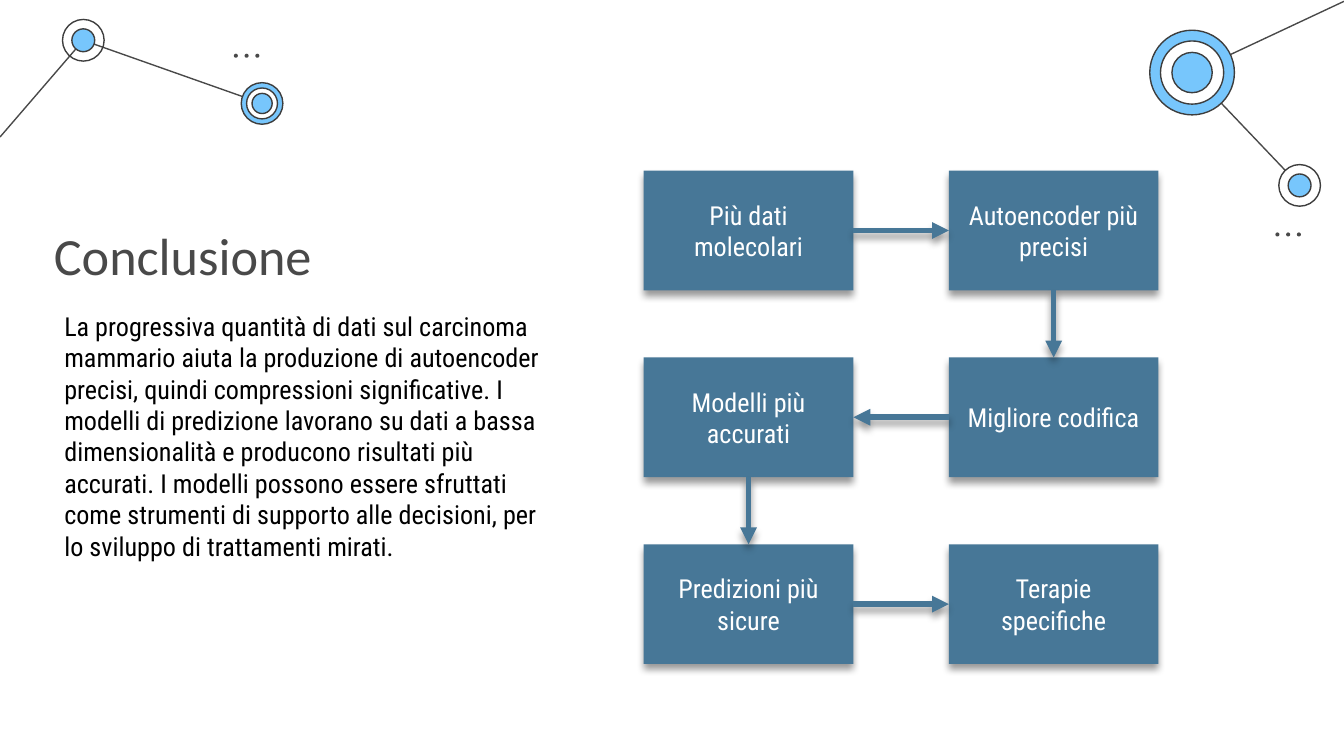
from lxml import etree
from pptx import Presentation
from pptx.dml.color import RGBColor
from pptx.enum.shapes import MSO_CONNECTOR, MSO_SHAPE
from pptx.enum.text import MSO_ANCHOR, PP_ALIGN
from pptx.oxml.ns import qn
from pptx.util import Inches, Pt

STRAIGHT = MSO_CONNECTOR.STRAIGHT
RECTANGLE, OVAL = MSO_SHAPE.RECTANGLE, MSO_SHAPE.OVAL
TOP, MIDDLE = MSO_ANCHOR.TOP, MSO_ANCHOR.MIDDLE
LEFT_ALIGN, CENTER = PP_ALIGN.LEFT, PP_ALIGN.CENTER
TITLE_ONLY = 5
SITE_TOP, SITE_LEFT, SITE_BOTTOM, SITE_RIGHT = range(4)

PAGE_WIDTH = 10
PAGE_HEIGHT = PAGE_WIDTH * 9 / 16

GREY, OUTLINE, SKY, STEEL = "494949", "3D3D3D", "77C6FC", "477797"
WHITE, BLACK = "FFFFFF", "000000"
BODY_FONT = "Roboto Condensed"

BODY = (
    "La progressiva quantità di dati sul carcinoma mammario aiuta la produzione "
    "di autoencoder precisi, quindi compressioni significative. I modelli di "
    "predizione lavorano su dati a bassa dimensionalità e producono risultati più "
    "accurati. I modelli possono essere sfruttati come strumenti di supporto alle "
    "decisioni, per lo sviluppo di trattamenti mirati."
)
# Each step: label, column, row, in reading order of the winding flow
STEPS = [
    ("Più dati molecolari", 0, 0),
    ("Autoencoder più precisi", 1, 0),
    ("Migliore codifica", 1, 1),
    ("Modelli più accurati", 0, 1),
    ("Predizioni più sicure", 0, 2),
    ("Terapie specifiche", 1, 2),
]
# Direction of travel (columns, rows) to the sites an arrow leaves and enters
SITES = {
    (1, 0): (SITE_RIGHT, SITE_LEFT),
    (-1, 0): (SITE_LEFT, SITE_RIGHT),
    (0, 1): (SITE_BOTTOM, SITE_TOP),
}


def color(value):
    return RGBColor.from_string(value)


def set_text(shape, text, font, frame_format, align):
    frame = shape.text_frame
    frame.word_wrap = True
    for name, value in frame_format.items():
        setattr(frame, name, value)
    para = frame.paragraphs[0]
    para.alignment = align
    span = para.add_run()
    span.text = text
    for name, value in font.items():
        if name == "color":
            span.font.color.rgb = color(value)
        else:
            setattr(span.font, name, value)


def set_effects(shape, shadow=False):
    """Replace the theme shadow by none, or by a soft one straight below."""
    properties = shape._element.spPr
    effects = etree.SubElement(properties, qn("a:effectLst"))
    if shadow:
        outer = etree.SubElement(
            effects, qn("a:outerShdw"), blurRad=str(Pt(4)), dist=str(Pt(3)),
            dir="5400000", rotWithShape="0")
        tint = etree.SubElement(outer, qn("a:srgbClr"), val=BLACK)
        etree.SubElement(tint, qn("a:alpha"), val="40000")


def add_line(shapes, start, end, line_color=GREY, width=0.75, shadow=False):
    line = shapes.add_connector(STRAIGHT, *(Inches(v) for v in (*start, *end)))
    line.line.color.rgb = color(line_color)
    line.line.width = Pt(width)
    set_effects(line, shadow)
    return line


def add_preset(shapes, kind, box, fill=None, outline=None, shadow=False):
    shape = shapes.add_shape(kind, *(Inches(v) for v in box))
    if fill:
        shape.fill.solid()
        shape.fill.fore_color.rgb = color(fill)
    else:
        shape.fill.background()
    if outline:
        shape.line.color.rgb = color(outline)
        shape.line.width = Pt(0.75)
    else:
        shape.line.fill.background()
    set_effects(shape, shadow)
    return shape


def add_node(page, center, rings):
    """Concentric circles, given as (diameter, fill) from the outside in."""
    group = page.shapes.add_group_shape()
    x, y = center
    for size, fill in rings:
        box = (x - size / 2, y - size / 2, size, size)
        add_preset(group.shapes, OVAL, box, fill, OUTLINE)


def add_dots(page, left, top):
    group = page.shapes.add_group_shape()
    for index in range(3):
        add_preset(group.shapes, OVAL, (left + index * 0.08, top, 0.03, 0.03), GREY)


def add_left_network(page, left, top):
    small, target = (left + 0.62, top + 0.3), (left + 1.95, top + 0.77)
    add_line(page.shapes, small, target)
    add_line(page.shapes, (left, top + 1.02), small)
    add_node(page, small, [(0.31, None), (0.17, SKY)])
    add_node(page, target, [(0.31, SKY), (0.23, WHITE), (0.15, SKY)])
    add_dots(page, left + 1.74, top + 0.4)


def add_right_network(page, left, top):
    large, small = (left + 0.37, top + 0.54), (left + 1.17, top + 1.38)
    add_line(page.shapes, small, large)
    add_line(page.shapes, (left + 1.5, top + 0.01), large)
    add_node(page, large, [(0.63, SKY), (0.47, WHITE), (0.3, SKY)])
    add_node(page, small, [(0.31, WHITE), (0.17, SKY)])
    add_dots(page, left + 0.99, top + 1.73)


def add_message(page, left, top):
    # Title
    title = page.shapes.title
    place = {"left": left, "top": top, "width": 2.2, "height": 0.63}
    for name, value in place.items():
        setattr(title, name, Inches(value))
    margins = {f"margin_{side}": Inches(0.1)
               for side in ("left", "top", "right", "bottom")}
    set_text(title, "Conclusione",
             {"size": Pt(28), "name": "Calibri", "color": GREY},
             {"vertical_anchor": TOP, **margins}, CENTER)
    # Paragraph below it
    box = (left + 0.12, top + 0.7, 3.82, 1.99)
    body = page.shapes.add_textbox(*(Inches(v) for v in box))
    set_text(body, BODY, {"size": Pt(14), "name": BODY_FONT, "color": BLACK},
             {"vertical_anchor": TOP}, LEFT_ALIGN)


def add_flow(page, left, top, width, height):
    step_width, step_height = 1.56, 0.89
    column_pitch = width - step_width
    row_pitch = (height - step_height) / 2
    group = page.shapes.add_group_shape()
    # Steps
    steps = []
    for label, column, row in STEPS:
        box = (left + column * column_pitch, top + row * row_pitch,
               step_width, step_height)
        step = add_preset(group.shapes, RECTANGLE, box, STEEL, shadow=True)
        set_text(step, label, {"size": Pt(14), "name": BODY_FONT, "color": WHITE},
                 {"vertical_anchor": MIDDLE}, CENTER)
        steps.append((step, column, row))
    # Arrows from each step to the next
    for (step, column, row), (following, next_column, next_row) in zip(steps, steps[1:]):
        leave, enter = SITES[next_column - column, next_row - row]
        arrow = add_line(group.shapes, (left, top), (left, top), STEEL, 3, shadow=True)
        arrow.begin_connect(step, leave)
        arrow.end_connect(following, enter)
        outline = arrow._element.spPr.find(qn("a:ln"))
        etree.SubElement(outline, qn("a:tailEnd"), type="triangle")


def main():
    deck = Presentation()
    deck.slide_width, deck.slide_height = Inches(PAGE_WIDTH), Inches(PAGE_HEIGHT)
    page = deck.slides.add_slide(deck.slide_layouts[TITLE_ONLY])
    page.background.fill.solid()
    page.background.fill.fore_color.rgb = color(WHITE)
    add_left_network(page, 0, 0)
    add_right_network(page, 8.5, 0)
    add_message(page, 0.26, 1.56)
    add_flow(page, 4.79, 1.27, 3.83, 3.67)
    deck.save("out.pptx")


if __name__ == "__main__":
    main()
